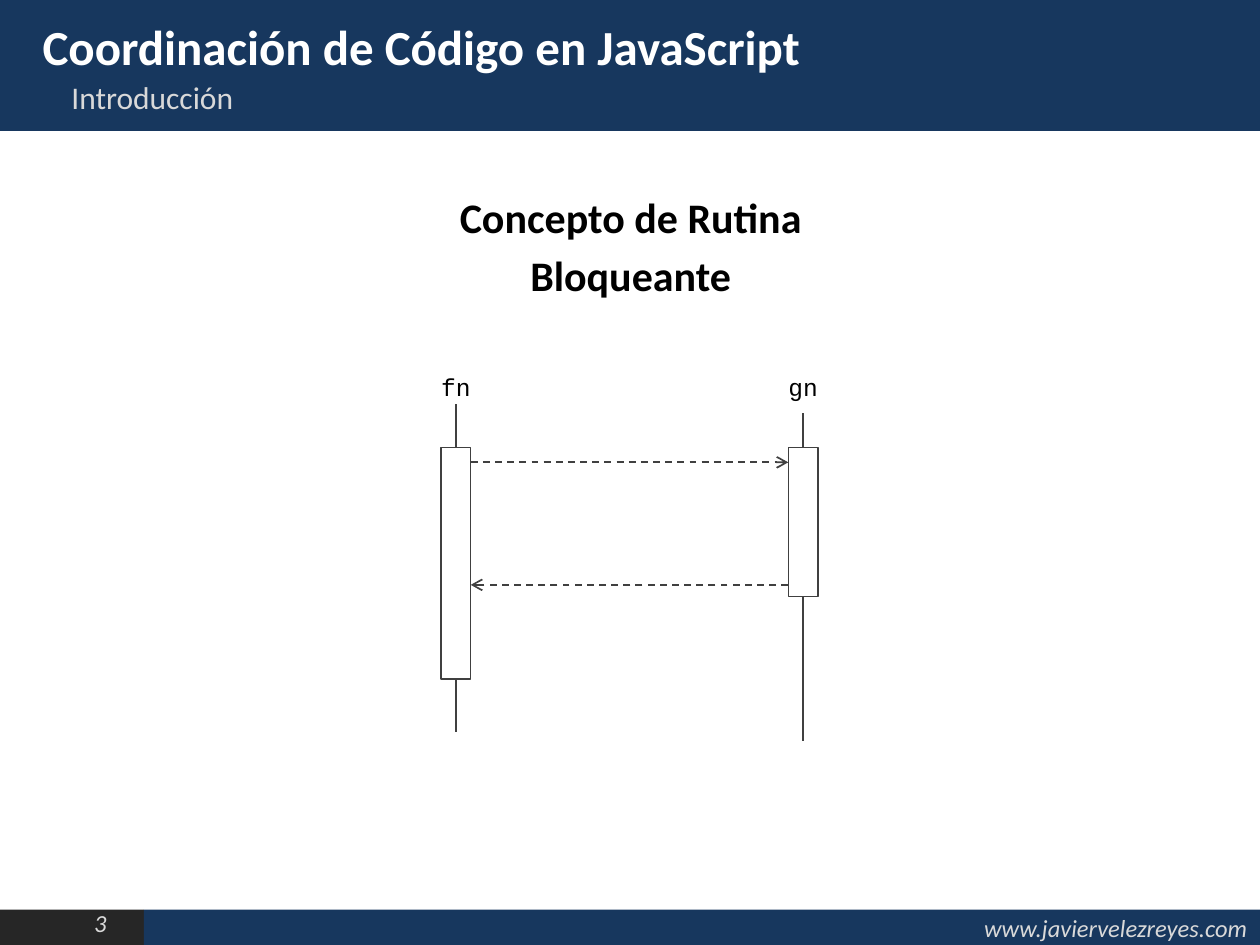
from lxml.etree import SubElement
from pptx import Presentation
from pptx.dml.color import RGBColor
from pptx.enum.dml import MSO_LINE
from pptx.enum.shapes import MSO_CONNECTOR, MSO_SHAPE
from pptx.enum.text import MSO_ANCHOR, PP_ALIGN
from pptx.oxml.ns import qn
from pptx.util import Cm, Pt

NAVY, BLACK, WHITE = "17375E", "000000", "FFFFFF"
CHARCOAL, PALE, LINE = "262626", "D9D9D9", "404040"


def color(value):
    return RGBColor.from_string(value)


class SlideBuilder:
    """Draws styled elements on one slide, with lengths in centimetres."""

    def __init__(self, slide, font="Calibri"):
        self.slide = slide
        self.font = font

    def fill_text(self, shape, text, size, text_color, align=PP_ALIGN.LEFT,
                  bold=False, italic=False, font=None, space=0):
        frame = shape.text_frame
        frame.word_wrap = True
        frame.text = text
        for paragraph in frame.paragraphs:
            paragraph.alignment = align
            paragraph.space_before = Pt(space)
            for run in paragraph.runs:
                run.font.name = font or self.font
                run.font.size = Pt(size)
                run.font.bold = bold
                run.font.italic = italic
                run.font.color.rgb = color(text_color)

    def text(self, left, top, width, height, text, size, text_color, **style):
        box = self.slide.shapes.add_textbox(Cm(left), Cm(top), Cm(width), Cm(height))
        self.fill_text(box, text, size, text_color, **style)

    def rectangle(self, left, top, width, height, fill, outline=None):
        shape = self.slide.shapes.add_shape(
            MSO_SHAPE.RECTANGLE, Cm(left), Cm(top), Cm(width), Cm(height))
        shape.shadow.inherit = False
        shape.fill.solid()
        shape.fill.fore_color.rgb = color(fill)
        if outline:
            shape.line.color.rgb = color(outline)
            shape.line.width = Pt(0.75)
        else:
            shape.line.fill.background()
        return shape

    def line(self, start, end, width=0.75):
        connector = self.slide.shapes.add_connector(
            MSO_CONNECTOR.STRAIGHT, *(Cm(value) for value in (*start, *end)))
        connector.line.color.rgb = color(LINE)
        connector.line.width = Pt(width)
        SubElement(connector._element.spPr, qn("a:effectLst"))
        return connector

    def arrow(self, start, end):
        connector = self.line(start, end, width=1)
        connector.line.dash_style = MSO_LINE.DASH
        outline = connector._element.spPr.find(qn("a:ln"))
        SubElement(outline, qn("a:tailEnd"), type="arrow")

    def lifeline(self, name, center, top, bar_height):
        self.line((center, top), (center, top + LIFELINE_HEIGHT))
        self.rectangle(center - BAR_WIDTH / 2, BAR_TOP, BAR_WIDTH, bar_height, WHITE, LINE)
        self.text(center - 0.7, 7.37, 1.4, 0.86, name, 14, BLACK,
                  align=PP_ALIGN.CENTER, font="Courier New")


SLIDE_WIDTH, SLIDE_HEIGHT = 25.4, 19.05
FOOTER_TOP, NUMBER_WIDTH = 18.34, 2.9
FOOTER_HEIGHT = SLIDE_HEIGHT - FOOTER_TOP
LIFELINE_HEIGHT, BAR_TOP, BAR_WIDTH = 6.6, 9.02, 0.6
FN_CENTER, GN_CENTER = 9.19, 16.19

presentation = Presentation()
presentation.slide_width = Cm(SLIDE_WIDTH)
presentation.slide_height = Cm(SLIDE_HEIGHT)
builder = SlideBuilder(presentation.slides.add_slide(presentation.slide_layouts[6]))

builder.rectangle(0, FOOTER_TOP, NUMBER_WIDTH, FOOTER_HEIGHT, CHARCOAL)
footer = builder.rectangle(
    NUMBER_WIDTH, FOOTER_TOP, SLIDE_WIDTH - NUMBER_WIDTH, FOOTER_HEIGHT, NAVY)
footer.text_frame.vertical_anchor = MSO_ANCHOR.MIDDLE
builder.fill_text(footer, "www.javiervelezreyes.com", 14, PALE,
                  align=PP_ALIGN.RIGHT, italic=True)
builder.text(0.3, 18.19, 2.1, 0.86, "3", 14, PALE, align=PP_ALIGN.RIGHT, italic=True)

builder.rectangle(0, 0, SLIDE_WIDTH, 2.64, NAVY)
builder.text(1.19, 1.45, 23.32, 1, "Introducción", 18, PALE, space=3.6)
builder.text(0.61, 0.2, 23.9, 1.2, "Coordinación de Código en JavaScript",
             28, WHITE, bold=True, space=5.6)
builder.text(8.69, 3.73, 8.05, 1, "Concepto de Rutina\nBloqueante", 24, BLACK,
             align=PP_ALIGN.CENTER, bold=True, space=4.8)

builder.lifeline("fn", FN_CENTER, 8.15, 4.67)
builder.lifeline("gn", GN_CENTER, 8.33, 3)
fn_edge, gn_edge = FN_CENTER + BAR_WIDTH / 2, GN_CENTER - BAR_WIDTH / 2
builder.arrow((fn_edge, 9.32), (gn_edge, 9.32))
builder.arrow((gn_edge, 11.79), (fn_edge, 11.79))

presentation.save("out.pptx")
